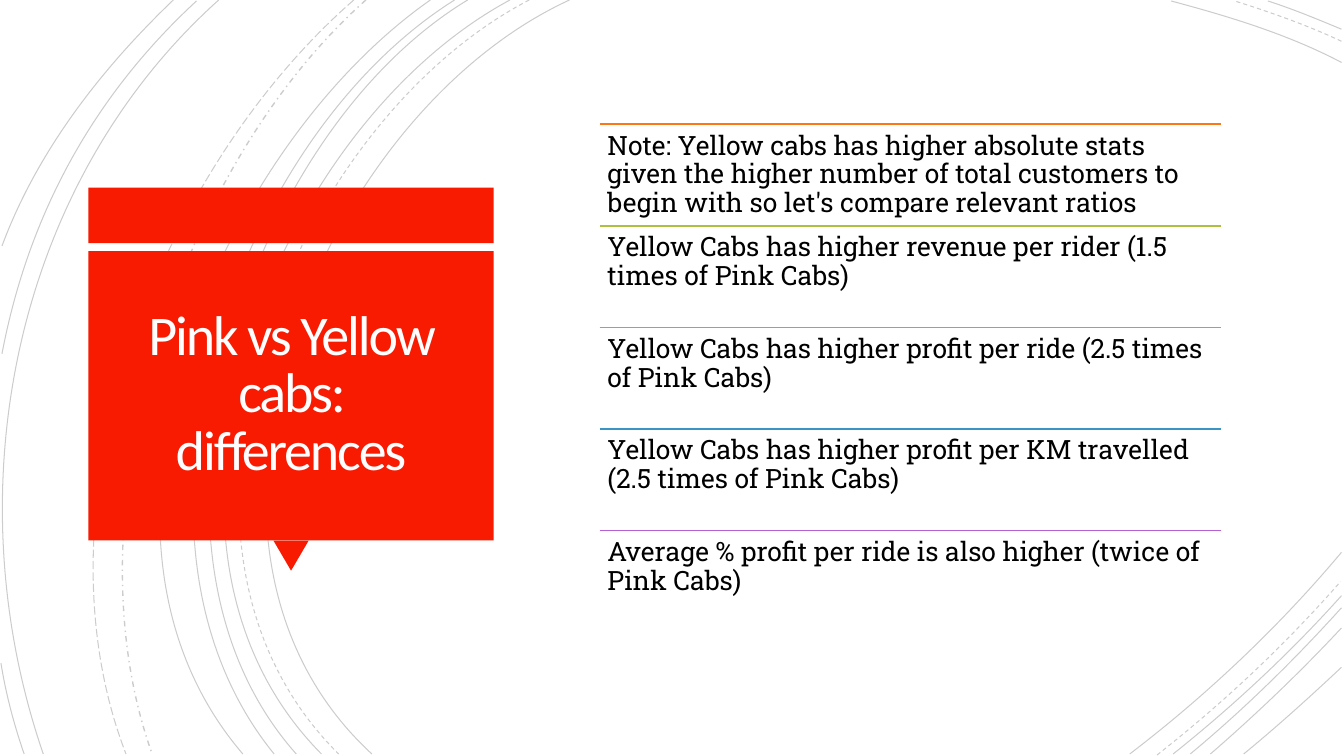
from dataclasses import dataclass

from lxml import etree
from pptx import Presentation
from pptx.dml.color import RGBColor
from pptx.enum.dml import MSO_LINE
from pptx.enum.shapes import MSO_CONNECTOR, MSO_SHAPE
from pptx.enum.text import MSO_ANCHOR, PP_ALIGN
from pptx.oxml.ns import qn
from pptx.util import Cm, Pt

RECTANGLE = MSO_SHAPE.RECTANGLE
TRIANGLE = MSO_SHAPE.ISOSCELES_TRIANGLE
STRAIGHT = MSO_CONNECTOR.STRAIGHT
TOP, MIDDLE = MSO_ANCHOR.TOP, MSO_ANCHOR.MIDDLE
LEFT, CENTER = PP_ALIGN.LEFT, PP_ALIGN.CENTER
SOLID, DASH = MSO_LINE.SOLID, MSO_LINE.DASH
DASH_DOT, LONG_DASH = MSO_LINE.DASH_DOT, MSO_LINE.LONG_DASH


@dataclass(frozen=True)
class Theme:
    red: str = "F81B02"
    title_color: str = "FFFEFF"
    text_color: str = "000000"
    arc_color: str = "000000"
    arc_opacity: int = 20
    title_font: str = "Calibri"
    body_font: str = "Roboto Slab"
    title_size: int = 40
    body_size: int = 19
    title_tracking: float = -1.5
    arc_width: float = 0.75
    rule_width: float = 1.25


THEME = Theme()

# Each arc: dash, then start, two control points and end in arc units
ARC_UNIT = Cm(0.0254)
ARCS = [
    (SOLID, (565, 0), (315, 115), (143, 540), (369, 748)),
    (SOLID, (1331, 62), (1278, 34), (1218, 16), (1162, 1)),
    (SOLID, (1121, 748), (1197, 690), (1269, 622), (1331, 548)),
    (DASH, (525, 0), (285, 125), (123, 537), (336, 748)),
    (DASH, (1331, 41), (1297, 25), (1260, 12), (1225, 1)),
    (DASH, (1148, 749), (1213, 698), (1275, 640), (1330, 577)),
    (SOLID, (506, 0), (270, 127), (110, 537), (319, 748)),
    (SOLID, (1331, 29), (1307, 19), (1283, 9), (1258, 1)),
    (SOLID, (1164, 748), (1223, 701), (1280, 648), (1331, 591)),
    (SOLID, (464, 0), (244, 133), (110, 541), (294, 748)),
    (SOLID, (1181, 748), (1234, 704), (1284, 655), (1331, 603)),
    (SOLID, (451, 0), (231, 138), (97, 533), (272, 748)),
    (SOLID, (1201, 748), (1246, 709), (1290, 667), (1331, 623)),
    (SOLID, (427, 0), (217, 147), (53, 529), (241, 748)),
    (SOLID, (1234, 748), (1267, 721), (1299, 692), (1331, 662)),
    (DASH_DOT, (363, 0), (176, 166), (65, 509), (151, 748)),
    (LONG_DASH, (351, 0), (157, 169), (29, 499), (125, 748)),
    (SOLID, (217, 0), (11, 185), (-46, 490), (43, 748)),
    (SOLID, (195, 1), (92, 96), (28, 214), (2, 351)),
    (SOLID, (1, 658), (6, 689), (14, 719), (24, 748)),
    (SOLID, (172, 0), (100, 69), (37, 150), (2, 244)),
]

TITLE = "Pink vs Yellow cabs: differences"
POINTS = [
    ("FC7715", "Note: Yellow cabs has higher absolute stats given the higher number "
               "of total customers to begin with so let's compare relevant ratios"),
    ("AFBF41", "Yellow Cabs has higher revenue per rider (1.5 times of Pink Cabs)"),
    ("50C49F", "Yellow Cabs has higher profit per ride (2.5 times of Pink Cabs)"),
    ("3B95C4", "Yellow Cabs has higher profit per KM travelled (2.5 times of Pink Cabs)"),
    ("B560D4", "Average % profit per ride is also higher (twice of Pink Cabs)"),
]


def rgb(value):
    return RGBColor.from_string(value)


def add_text(page, box, text, font, size, color, inset, spacing,
             anchor=TOP, align=LEFT):
    """Place one paragraph in a text box and return its run."""
    frame = page.shapes.add_textbox(*box).text_frame
    frame.word_wrap = True
    frame.vertical_anchor = anchor
    frame.margin_left = frame.margin_right = inset
    frame.margin_top = frame.margin_bottom = inset
    para = frame.paragraphs[0]
    para.alignment = align
    para.line_spacing = spacing
    span = para.add_run()
    span.text = text
    span.font.name = font
    span.font.size = Pt(size)
    span.font.color.rgb = rgb(color)
    return span


def add_block(page, kind, box):
    block = page.shapes.add_shape(kind, *box)
    block.shadow.inherit = False
    block.fill.solid()
    block.fill.fore_color.rgb = rgb(THEME.red)
    block.line.fill.background()
    return block


def add_arc(page, dash, start, *others):
    builder = page.shapes.build_freeform(*start, scale=ARC_UNIT)
    builder.add_line_segments(others, close=False)
    arc = builder.convert_to_shape()
    arc.shadow.inherit = False
    arc.fill.background()
    arc.line.width = Pt(1 if dash == DASH_DOT else THEME.arc_width)
    arc.line.color.rgb = rgb(THEME.arc_color)
    arc.line.dash_style = dash
    # Turn the three segments into one cubic curve
    outline = next(arc.element.iter(qn("a:path")))
    curve = etree.SubElement(outline, qn("a:cubicBezTo"))
    for segment in outline.findall(qn("a:lnTo")):
        curve.append(segment[0])
        outline.remove(segment)
    # Line transparency
    color = arc.element.spPr.find(qn("a:ln")).find(".//" + qn("a:srgbClr"))
    etree.SubElement(color, qn("a:alpha"), val=str(THEME.arc_opacity * 1000))


def add_background(page):
    for arc in ARCS:
        add_arc(page, *arc)


def add_title_panel(page, left, top, width, height):
    # Band, pointer and main panel
    band, gap = Cm(1.4), Cm(0.2)
    pointer_width, pointer_height = Cm(0.89), Cm(0.76)
    panel_top = top + band + gap
    panel_height = height - band - gap - pointer_height
    add_block(page, RECTANGLE, (left, top, width, band))
    pointer = add_block(page, TRIANGLE, (
        left + (width - pointer_width) // 2, panel_top + panel_height,
        pointer_width, pointer_height))
    pointer.rotation = 180
    add_block(page, RECTANGLE, (left, panel_top, width, panel_height))
    # Title
    pad = Cm(0.22)
    box = (left + pad, panel_top + pad, width - 2 * pad, panel_height - 2 * pad)
    span = add_text(page, box, TITLE, THEME.title_font, THEME.title_size,
                    THEME.title_color, Cm(0.64), 0.85, MIDDLE, CENTER)
    span.font._element.set("spc", str(int(THEME.title_tracking * 100)))


def add_points(page, left, top, width, height):
    row = height // len(POINTS)
    for index, (color, text) in enumerate(POINTS):
        y = top + index * row
        rule = page.shapes.add_connector(STRAIGHT, left, y, left + width, y)
        rule.line.color.rgb = rgb(color)
        rule.line.width = Pt(THEME.rule_width)
        etree.SubElement(rule.element.spPr, qn("a:effectLst"))
        add_text(page, (left, y, width, row), text, THEME.body_font,
                 THEME.body_size, THEME.text_color, Cm(0.2), 0.9)


def main():
    deck = Presentation()
    deck.slide_width, deck.slide_height = Cm(33.87), Cm(19.05)
    page = deck.slides.add_slide(deck.slide_layouts[6])
    add_background(page)
    add_title_panel(page, Cm(2.23), Cm(4.73), Cm(10.21), Cm(9.65))
    add_points(page, Cm(15.11), Cm(3.13), Cm(15.67), Cm(12.8))
    deck.save("out.pptx")


if __name__ == "__main__":
    main()
